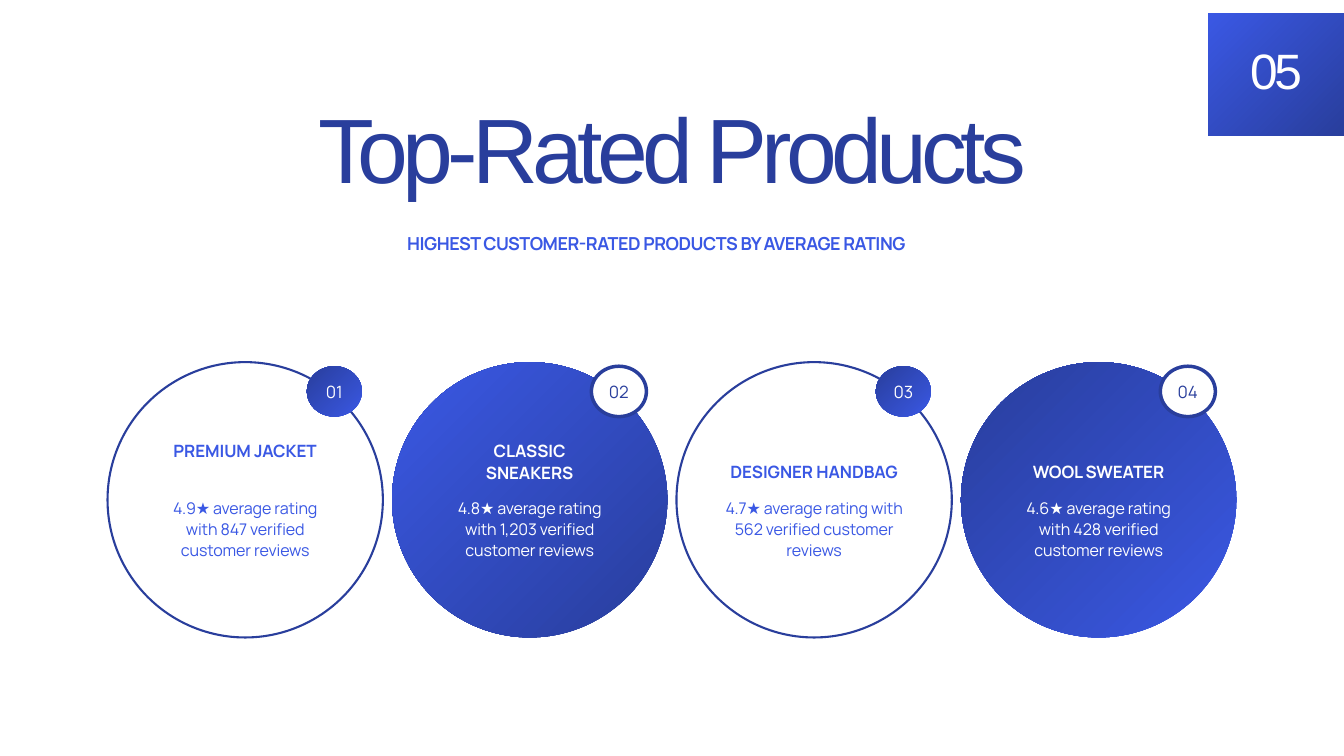
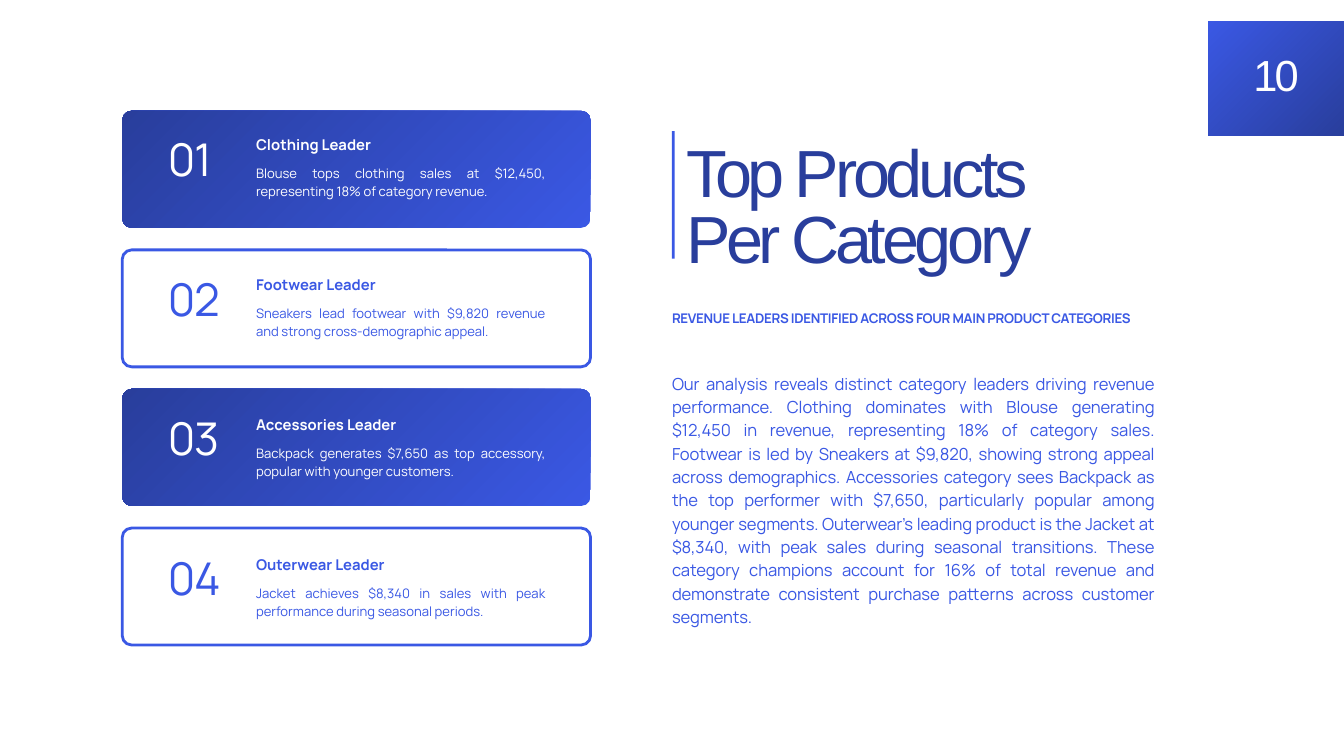
"""Build two product slides: top-rated products and top products per category."""
from lxml import etree
from pptx import Presentation
from pptx.dml.color import RGBColor
from pptx.enum.shapes import MSO_SHAPE
from pptx.enum.text import MSO_AUTO_SIZE, PP_ALIGN
from pptx.oxml.ns import qn
from pptx.util import Pt

OVAL, RECTANGLE, ROUNDED = MSO_SHAPE.OVAL, MSO_SHAPE.RECTANGLE, MSO_SHAPE.ROUNDED_RECTANGLE
LEFT, CENTER, JUSTIFY = PP_ALIGN.LEFT, PP_ALIGN.CENTER, PP_ALIGN.JUSTIFY
FIT = MSO_AUTO_SIZE.SHAPE_TO_FIT_TEXT

WHITE, BLUE, NAVY = "FFFFFF", "3A58E4", "293E9C"
BRIGHT, DEEP = (BLUE, NAVY), (NAVY, BLUE)

STYLES = {
    "page 05": dict(name="Arial", size=53.2, spacing=52.1, tracking=-3.4, align=CENTER),
    "page 10": dict(name="Arial", size=46.6, spacing=45.7, tracking=-3, align=CENTER),
    "wide title": dict(name="Arial", size=97.9, spacing=96, tracking=-6.3, align=CENTER),
    "side title": dict(name="Arial", size=71.4, spacing=70, tracking=-4.6),
    "wide subtitle": dict(size=19.2, spacing=26.9, tracking=-0.5, bold=True),
    "side subtitle": dict(size=14.3, spacing=20, tracking=-0.3, bold=True, align=JUSTIFY),
    "product": dict(size=18.2, spacing=23.5, tracking=-0.1, bold=True, align=CENTER),
    "rating": dict(size=17.2, spacing=22.3, tracking=-0.1, align=CENTER),
    "rank": dict(size=18.1, spacing=23.3, tracking=-0.1, align=CENTER),
    "analysis": dict(size=17.8, spacing=25, tracking=-0.1, align=JUSTIFY),
    "leader": dict(size=15.9, spacing=24.1, bold=True, align=JUSTIFY),
    "detail": dict(size=14, spacing=19.5, align=JUSTIFY),
    "card number": dict(size=48.3, spacing=43.5, tracking=-1.4),
}

PRODUCTS = [
    dict(name="PREMIUM JACKET", rating="4.9★ average rating with 847 verified customer reviews",
         top=470.2, fill=None),
    dict(name="CLASSIC SNEAKERS", rating="4.8★ average rating with 1,203 verified customer reviews",
         top=470.2, fill=BRIGHT),
    dict(name="DESIGNER HANDBAG", rating="4.7★ average rating with 562 verified customer reviews",
         top=493.2, fill=None, width=186),
    dict(name="WOOL SWEATER", rating="4.6★ average rating with 428 verified customer reviews",
         top=493.2, fill=DEEP),
]

LEADERS = [
    ("Clothing Leader",
     "Blouse tops clothing sales at $12,450, representing 18% of category revenue."),
    ("Footwear Leader",
     "Sneakers lead footwear with $9,820 revenue and strong cross-demographic appeal."),
    ("Accessories Leader",
     "Backpack generates $7,650 as top accessory, popular with younger customers."),
    ("Outerwear Leader",
     "Jacket achieves $8,340 in sales with peak performance during seasonal periods."),
]

ANALYSIS = (
    "Our analysis reveals distinct category leaders driving revenue performance. "
    "Clothing dominates with Blouse generating $12,450 in revenue, representing 18% of "
    "category sales. Footwear is led by Sneakers at $9,820, showing strong appeal across "
    "demographics. Accessories category sees Backpack as the top performer with $7,650, "
    "particularly popular among younger segments. Outerwear's leading product is the Jacket "
    "at $8,340, with peak sales during seasonal transitions. These category champions account "
    "for 16% of total revenue and demonstrate consistent purchase patterns across customer "
    "segments."
)


def color(value):
    """Turn a hex string into a colour."""
    return RGBColor.from_string(value)


def paint(fill, element, value):
    """Apply nothing, a solid colour or a corner gradient to a fill inside element."""
    if value is None:
        fill.background()
    elif isinstance(value, str):
        fill.solid()
        fill.fore_color.rgb = color(value)
    else:
        fill.gradient()
        for stop, shade in zip(fill.gradient_stops, value):
            stop.color.rgb = color(shade)
        gradient = next(element.iter(qn("a:gradFill")))
        for direction in list(gradient)[1:]:
            gradient.remove(direction)
        corner = etree.SubElement(gradient, qn("a:path"), {"path": "circle"})
        etree.SubElement(corner, qn("a:fillToRect"), l="0", t="0", r="100000", b="100000")


def add_figure(page, kind, frame, fill=None, line=None, weight=0):
    """Add a preset shape with the given fill and outline."""
    shape = page.shapes.add_shape(kind, *map(Pt, frame))
    shape.shadow.inherit = False
    paint(shape.fill, shape.element, fill)
    if line:
        shape.line.width = Pt(weight)
    paint(shape.line.fill, shape.element, line)
    return shape


def add_text(page, text, style, frame, shade):
    """Add a one-paragraph text box in a named style."""
    look = STYLES[style]
    box = page.shapes.add_textbox(*map(Pt, frame))
    layout = dict(word_wrap=True, auto_size=FIT, margin_left=0, margin_top=0,
                  margin_right=0, margin_bottom=0)
    for key, value in layout.items():
        setattr(box.text_frame, key, value)
    para = box.text_frame.paragraphs[0]
    para.alignment = look.get("align", LEFT)
    para.line_spacing = Pt(look["spacing"])
    span = para.add_run()
    span.text = text
    letters = dict(name=look.get("name", "Manrope"), size=Pt(look["size"]),
                   bold=look.get("bold", False))
    for key, value in letters.items():
        setattr(span.font, key, value)
    paint(span.font.fill, box.element, shade)
    properties = next(box.element.iter(qn("a:rPr")))
    properties.set("spc", str(round(look.get("tracking", 0) * 100)))


def add_page(deck, number, top, text_top):
    """Add a white page with its number tab at the right edge."""
    page = deck.slides.add_slide(deck.slide_layouts[6])
    paint(page.background.fill, page.element, WHITE)
    add_figure(page, RECTANGLE, (1294.6, top, 145.4, 145.4 - top), BRIGHT)
    add_text(page, number, f"page {number}", (1313.3, text_top, 108, 55), WHITE)
    return page


def add_product(page, index, product):
    """Add one product circle with its text and rank badge."""
    size, pitch = 295, 304.8
    left = 115.2 + pitch * index
    middle = left + size / 2
    fill = product["fill"]
    add_figure(page, OVAL, (left, 388, size, size), fill, None if fill else DEEP, 2.25)

    width = product.get("width", 156.2)
    add_text(page, product["name"], "product",
             (middle - width / 2, product["top"], width, 23), WHITE if fill else BRIGHT)
    add_text(page, product["rating"], "rating",
             (middle - 95.4, 532.8, 190.8, 66.2), WHITE if fill else BLUE)

    badge_left = left + 213.6
    add_figure(page, OVAL, (badge_left, 392.4, 59, 54), WHITE if fill else DEEP,
               DEEP if fill else None, 3.75)
    add_text(page, f"{index + 1:02}", "rank", (badge_left + 10.4, 406.8, 38.2, 23.8),
             DEEP if fill else WHITE)


def add_leader(page, index, leader, detail):
    """Add one category card, filled and outlined in turn."""
    filled = index % 2 == 0
    shade = WHITE if filled else BRIGHT
    card = add_figure(page, ROUNDED, (131, 118.8 + 149 * index, 501.8, 125.3),
                      DEEP if filled else None, None if filled else BRIGHT, 3)
    card.adjustments[0] = 0.08
    add_text(page, leader, "leader", (274.3, 139.8 + 150 * index, 248.4, 22.3), shade)
    add_text(page, detail, "detail", (274.3, 174.5 + 150 * index, 310.3, 39), shade)
    add_text(page, f"{index + 1:02}", "card number",
             (180, 155.5 + 149.5 * index, 69, 53.3), shade)


def main():
    """Build both pages and save the deck."""
    deck = Presentation()
    deck.slide_width, deck.slide_height = Pt(1440), Pt(810)

    page = add_page(deck, "05", 14.4, 54.7)
    add_text(page, "HIGHEST CUSTOMER-RATED PRODUCTS BY AVERAGE RATING", "wide subtitle",
             (436.3, 245.5, 553.7, 25.2), BRIGHT)
    for index, product in enumerate(PRODUCTS):
        add_product(page, index, product)
    add_text(page, "Top-Rated Products", "wide title", (265, 120.2, 910, 100), DEEP)

    page = add_page(deck, "10", 23, 61.9)
    add_text(page, ANALYSIS, "analysis", (720, 396.7, 517, 295.2), BLUE)
    add_figure(page, RECTANGLE, (720, 140.4, 2.9, 136.8), BLUE)
    add_text(page, "REVENUE LEADERS IDENTIFIED ACROSS FOUR MAIN PRODUCT CATEGORIES",
             "side subtitle", (720, 329.8, 502.6, 19.4), BRIGHT)
    add_text(page, "Top Products Per Category", "side title",
             (735.1, 156.2, 386.6, 142.6), DEEP)
    for index, (leader, detail) in enumerate(LEADERS):
        add_leader(page, index, leader, detail)

    deck.save("out.pptx")


if __name__ == "__main__":
    main()
